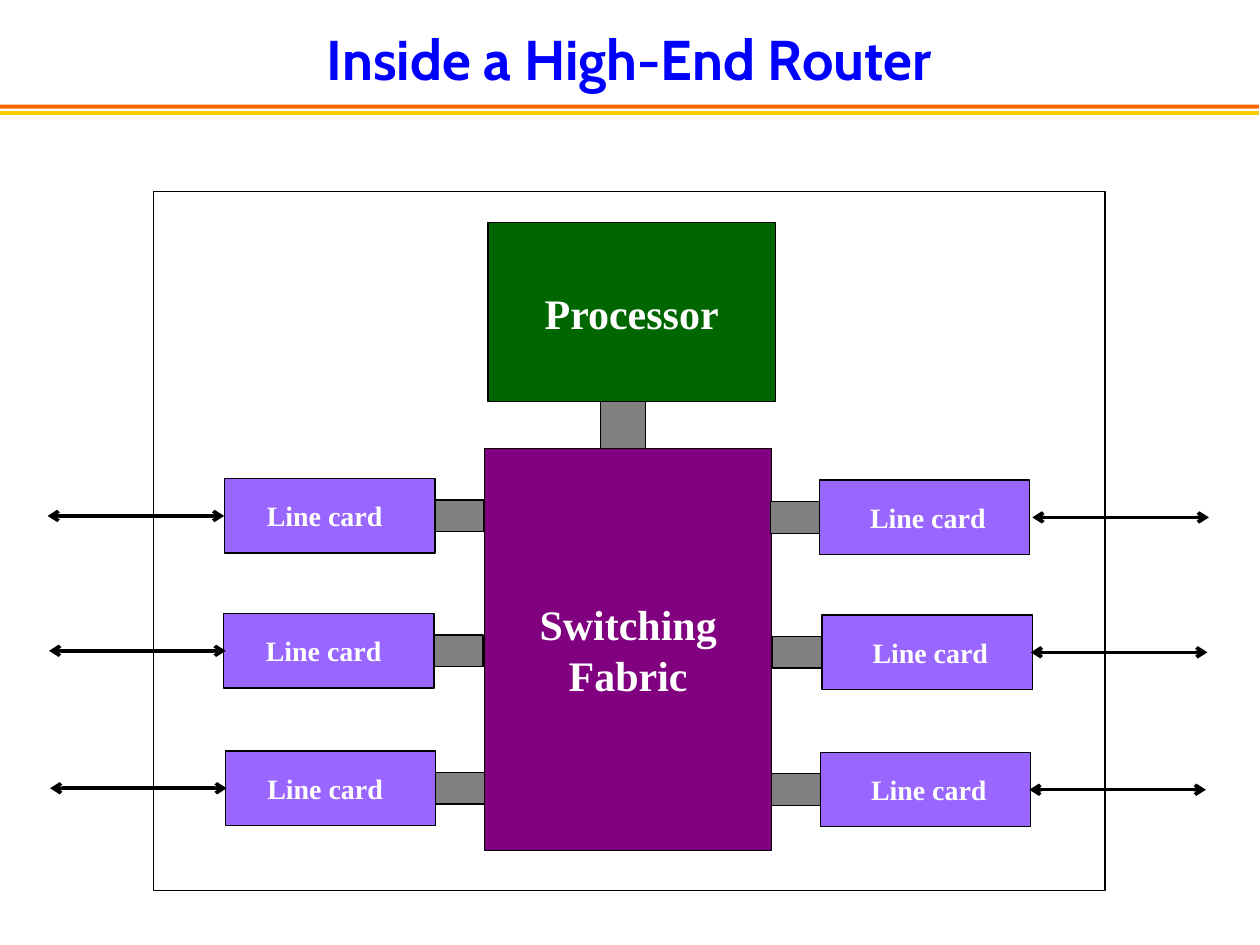
"""Build a slide showing the parts inside a high-end router."""
from pptx import Presentation
from pptx import util as u
from pptx.dml.color import RGBColor
from pptx.enum import shapes, text
from pptx.oxml import parse_xml
from pptx.oxml.ns import nsdecls

BLUE = RGBColor(0x00, 0x00, 0xFF)
ORANGE = RGBColor(0xFF, 0x66, 0x00)
YELLOW = RGBColor(0xFF, 0xCC, 0x00)
PURPLE = RGBColor(0x80, 0x00, 0x80)
GREEN = RGBColor(0x00, 0x66, 0x00)
VIOLET = RGBColor(0x99, 0x66, 0xFF)
GREY = RGBColor(0x80, 0x80, 0x80)
BLACK = RGBColor(0x00, 0x00, 0x00)
WHITE = RGBColor(0xFF, 0xFF, 0xFF)

deck = Presentation()
deck.slide_width, deck.slide_height = u.Cm(25.4), u.Cm(19.05)
page = deck.slides.add_slide(deck.slide_layouts[5])


def add_box(left, top, width, height, fill=None, line=BLACK):
    box = page.shapes.add_shape(
        shapes.MSO_SHAPE.RECTANGLE, u.Cm(left), u.Cm(top), u.Cm(width), u.Cm(height))
    box.shadow.inherit = False
    if fill is None:
        box.fill.background()
    else:
        box.fill.solid()
        box.fill.fore_color.rgb = fill
    if line is None:
        box.line.fill.background()
    else:
        box.line.color.rgb = line
        box.line.width = u.Pt(0.75)
    return box


def write(box, words, size, align, color=WHITE, font="Times New Roman"):
    box.text_frame.text = words
    for para in box.text_frame.paragraphs:
        para.alignment = align
        para.font.name = font
        para.font.size = u.Pt(size)
        para.font.bold = True
        para.font.color.rgb = color


for top, color in ((2.11, ORANGE), (2.24, YELLOW)):
    add_box(0, top, 25.38, 0.08, color, None)

title = page.shapes.title
title.left, title.top, title.width, title.height = u.Cm(0), u.Cm(0.43), u.Cm(25.38), u.Cm(1.47)
write(title, "Inside a High-End Router", 32, text.PP_ALIGN.CENTER, BLUE, "Cabin")
title.text_frame.vertical_anchor = text.MSO_ANCHOR.MIDDLE

for words, left, top, height, color in (
    ("Switching\nFabric", 9.77, 9.04, 8.1, PURPLE),
    ("Processor", 9.84, 4.49, 3.61, GREEN),
):
    block = add_box(left, top, 5.79, height, color)
    write(block, words, 24, text.PP_ALIGN.CENTER)
    block.text_frame.word_wrap = False
    block.text_frame.vertical_anchor = text.MSO_ANCHOR.MIDDLE

add_box(12.11, 8.1, 0.91, 0.95, GREY)

CARD_WIDTH, LINK_WIDTH, ARROW_LENGTH = 4.24, 0.99, 3.56
LEFT_SIDE = (CARD_WIDTH, 0.6, -ARROW_LENGTH,
             ((4.53, 9.65, 4.52), (4.51, 12.37, 4.55), (4.54, 15.14, 4.57)))
RIGHT_SIDE = (-LINK_WIDTH, 0.77, ARROW_LENGTH,
              ((16.52, 9.68, 20.81), (16.57, 12.4, 20.78), (16.54, 15.17, 20.75)))

for link_shift, label_shift, reach, cards in (LEFT_SIDE, RIGHT_SIDE):
    for left, top, port in cards:
        add_box(left, top, CARD_WIDTH, 1.5, VIOLET)
        add_box(left + link_shift, top + 0.43, LINK_WIDTH, 0.64, GREY)

        label = page.shapes.add_textbox(
            u.Cm(left + label_shift), u.Cm(top + 0.28), u.Cm(3.2), u.Cm(0.94))
        write(label, "Line card", 16, text.PP_ALIGN.LEFT)
        label.text_frame.word_wrap = True

        height = u.Cm(top + 0.75)
        arrow = page.shapes.add_connector(
            shapes.MSO_CONNECTOR.STRAIGHT, u.Cm(port), height, u.Cm(port + reach), height)
        arrow.line.color.rgb = BLACK
        arrow.line.width = u.Pt(2)
        for end in ("headEnd", "tailEnd"):
            arrow.line._get_or_add_ln().append(
                parse_xml(f'<a:{end} {nsdecls("a")} type="arrow"/>'))
        arrow._element.spPr.append(parse_xml(f'<a:effectLst {nsdecls("a")}/>'))

add_box(3.1, 3.86, 19.18, 14.1)

deck.save("out.pptx")
